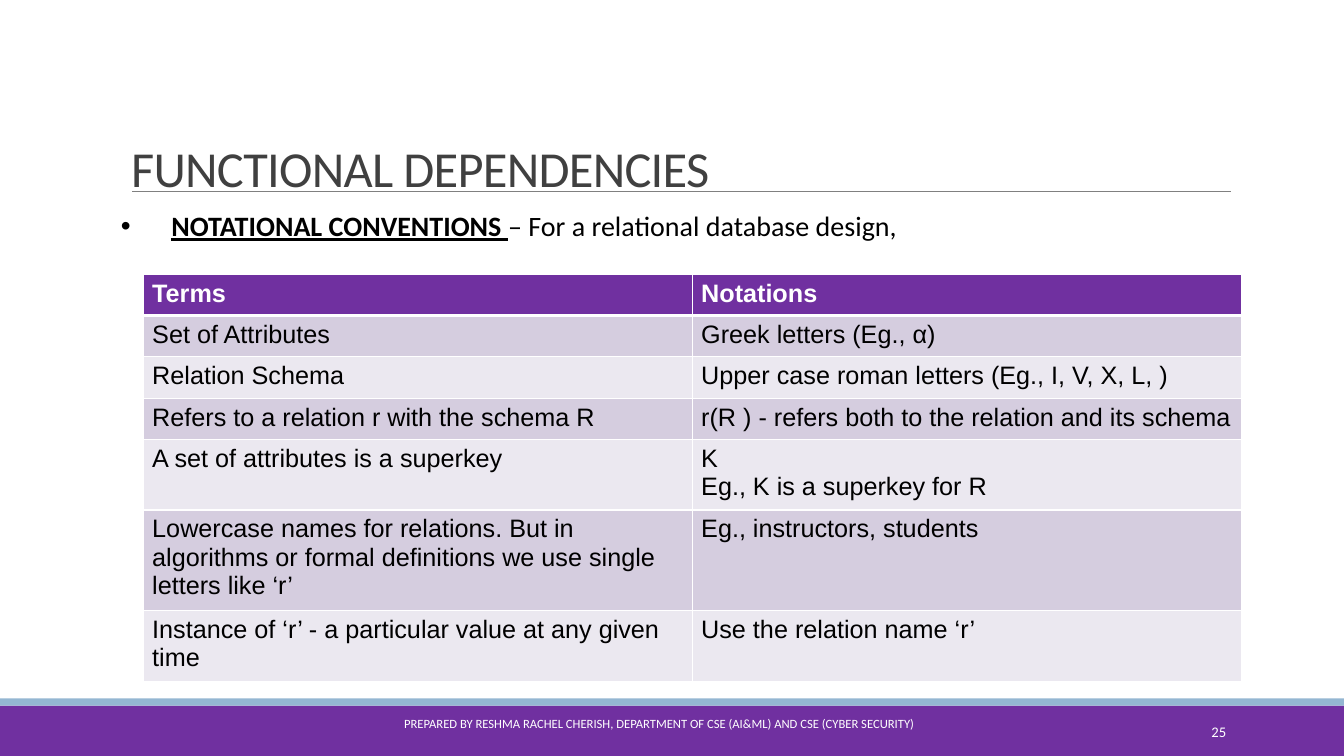
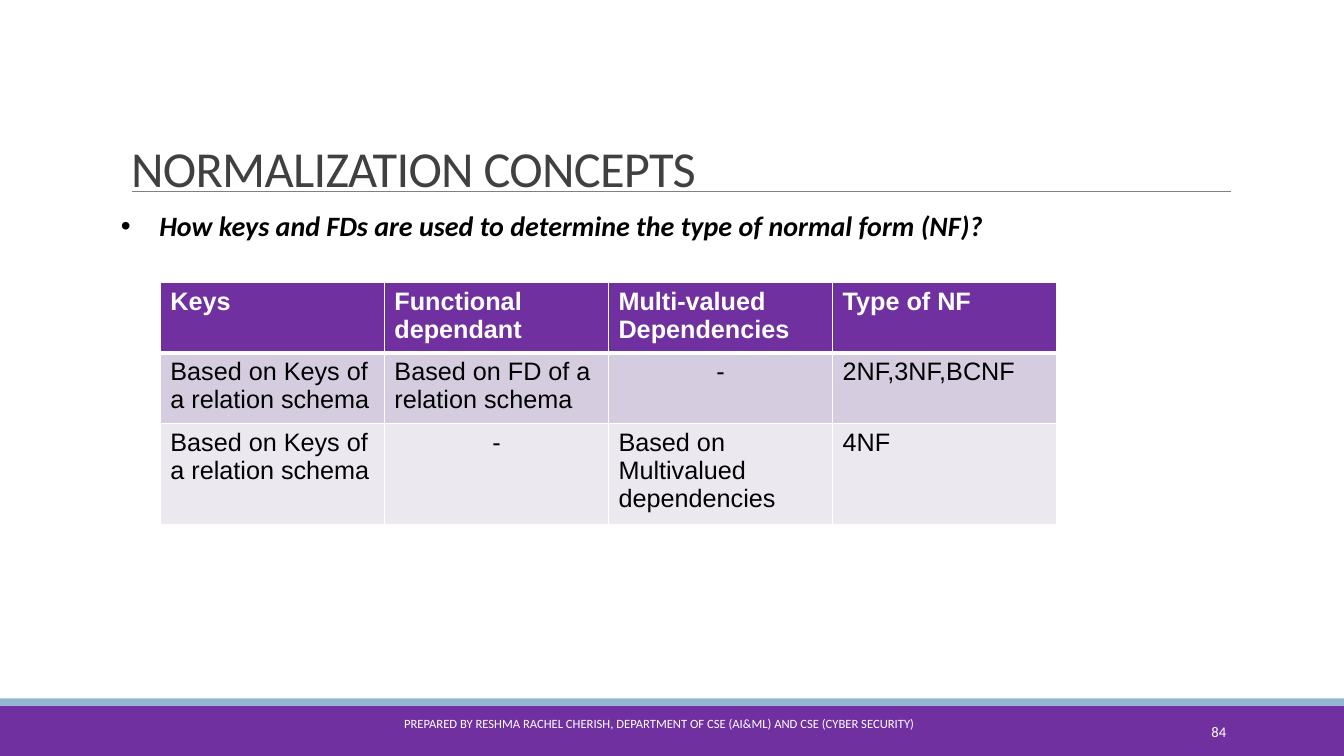
"""Build two database lecture slides with a shared title, band and table style."""
from lxml import etree
from pptx import Presentation
from pptx.dml.color import RGBColor
from pptx.enum.shapes import MSO_CONNECTOR, MSO_SHAPE
from pptx.enum.text import MSO_ANCHOR, MSO_AUTO_SIZE, PP_ALIGN
from pptx.oxml.ns import qn
from pptx.util import Inches, Pt

LEFT, CENTER, RIGHT = PP_ALIGN.LEFT, PP_ALIGN.CENTER, PP_ALIGN.RIGHT
MIDDLE, BOTTOM = MSO_ANCHOR.MIDDLE, MSO_ANCHOR.BOTTOM
NO_FIT = MSO_AUTO_SIZE.NONE
RECTANGLE, STRAIGHT = MSO_SHAPE.RECTANGLE, MSO_CONNECTOR.STRAIGHT

WIDTH, HEIGHT = 13.33, 7.5
PURPLE, BLUE, GRAY, TITLE_GRAY = "7030A0", "94B6D2", "808080", "404040"
WHITE, BLACK = "FFFFFF", "000000"
ROW_FILLS = ("EBE8F0", "D5CDDF")
TEXT_FONT, TABLE_FONT = "Calibri", "Arial"
BANDS = ((7, 0.5, PURPLE), (6.93, 0.07, BLUE))
ROW_HEIGHT = 0.41
FOOTER = ("PREPARED BY RESHMA RACHEL CHERISH, DEPARTMENT OF CSE (AI&ML) "
          "AND CSE (CYBER SECURITY)")

SLIDES = [
    {
        "title": "FUNCTIONAL DEPENDENCIES",
        "number": "25",
        "indent": 0.5,
        "lead": [("NOTATIONAL CONVENTIONS ", {"bold": True, "underline": True}),
                 ("– For a relational database design,", {})],
        "table": {"left": 1.42, "top": 2.72, "width": 10.89, "inset": 0.09},
        "rows": [
            ("Terms", "Notations"),
            ("Set of Attributes", "Greek letters (Eg., α)"),
            ("Relation Schema", "Upper case roman letters (Eg., I, V, X, L, )"),
            ("Refers to a relation r with the schema R",
             "r(R ) - refers both to the relation and its schema"),
            ("A set of attributes is a superkey", "K\nEg., K is a superkey for R"),
            ("Lowercase names for relations. But in algorithms or formal "
             "definitions we use single letters like ‘r’",
             "Eg., instructors, students"),
            ("Instance of ‘r’ - a particular value at any given time",
             "Use the relation name ‘r’"),
        ],
    },
    {
        "title": "NORMALIZATION CONCEPTS",
        "number": "84",
        "indent": 0.38,
        "lead": [("How keys and FDs are used to determine the type of normal form (NF)?",
                  {"bold": True, "italic": True})],
        "table": {"left": 1.59, "top": 2.8, "width": 8.89, "inset": 0.1},
        "rows": [
            ("Keys", "Functional dependant", "Multi-valued\nDependencies", "Type of NF"),
            ("Based on Keys of a relation schema", "Based on FD of a relation schema",
             "-", "2NF,3NF,BCNF"),
            ("Based on Keys of a relation schema", "-",
             "Based on Multivalued dependencies", "4NF"),
        ],
    },
]


def color(value):
    """Turn a hex string into a colour."""
    return RGBColor.from_string(value)


def style(paragraph, size, ink, name=TEXT_FONT, align=LEFT):
    """Set the font and alignment of a paragraph."""
    paragraph.alignment = align
    paragraph.font.size = Pt(size)
    paragraph.font.name = name
    paragraph.font.color.rgb = color(ink)


def place(shape, left, top, width, height):
    """Move and size a shape, in inches."""
    shape.left, shape.top = Inches(left), Inches(top)
    shape.width, shape.height = Inches(width), Inches(height)


def add_bands(page):
    """Draw the bottom bands and the rule under the title."""
    for top, height, fill in BANDS:
        band = page.shapes.add_shape(RECTANGLE, 0, Inches(top), Inches(WIDTH), Inches(height))
        band.shadow.inherit = False
        band.fill.solid()
        band.fill.fore_color.rgb = color(fill)
        band.line.fill.background()
    rule = page.shapes.add_connector(
        STRAIGHT, Inches(1.31), Inches(1.9), Inches(12.21), Inches(1.9))
    rule.line.color.rgb = color(GRAY)
    rule.line.width = Pt(0.5)
    etree.SubElement(rule._element.spPr, qn("a:effectLst"))


def add_label(page, text, area, size, align):
    """Write one white line in the bottom band."""
    box = page.shapes.add_textbox(*(Inches(length) for length in area))
    frame = box.text_frame
    frame.word_wrap = True
    frame.vertical_anchor = MIDDLE
    frame.text = text
    style(frame.paragraphs[0], size, WHITE, align=align)


def fill_title(title, text):
    """Write the title in its placeholder."""
    place(title, 1.2, 0.95, 11, 1.06)
    frame = title.text_frame
    frame.auto_size = NO_FIT
    frame.vertical_anchor = BOTTOM
    frame.text = text
    para = frame.paragraphs[0]
    para.line_spacing = 0.85
    style(para, 36, TITLE_GRAY)
    para.runs[0].font._element.set("spc", "-50")


def fill_lead(body, spans, indent):
    """Write the bulleted lead sentence in the body placeholder."""
    place(body, 1.2, 2.02, 11, 4.4)
    frame = body.text_frame
    frame.auto_size = NO_FIT
    frame.margin_left = frame.margin_right = 0
    para = frame.paragraphs[0]
    para.space_before = Pt(0)
    properties = para._p.get_or_add_pPr()
    properties.set("marL", str(Inches(indent)))
    properties.set("indent", str(-Inches(indent)))
    etree.SubElement(properties, qn("a:buFont"), typeface=TABLE_FONT)
    etree.SubElement(properties, qn("a:buChar"), char="•")
    style(para, 20, BLACK)
    for text, marks in spans:
        span = para.add_run()
        span.text = text
        for mark, value in marks.items():
            setattr(span.font, mark, value)


def add_borders(cell, row_index):
    """Give a cell white borders, thick between header and body."""
    properties = cell._tc.get_or_add_tcPr()
    thick_side = {0: "lnB", 1: "lnT"}.get(row_index)
    for side in ("lnL", "lnR", "lnT", "lnB"):
        width = Pt(3 if side == thick_side else 1)
        line = etree.SubElement(properties, qn(f"a:{side}"), w=str(width))
        fill = etree.SubElement(line, qn("a:solidFill"))
        etree.SubElement(fill, qn("a:srgbClr"), val=WHITE)


def add_grid(page, rows, left, top, width, inset):
    """Add the table with a header row and alternating body rows."""
    columns = len(rows[0])
    table = page.shapes.add_table(
        len(rows), columns, Inches(left), Inches(top),
        Inches(width), Inches(ROW_HEIGHT * len(rows))).table
    for row_index, texts in enumerate(rows):
        header = row_index == 0
        for column_index, text in enumerate(texts):
            cell = table.cell(row_index, column_index)
            add_borders(cell, row_index)
            cell.fill.solid()
            cell.fill.fore_color.rgb = color(PURPLE if header else ROW_FILLS[row_index % 2])
            cell.margin_left = cell.margin_right = Inches(inset)
            cell.text = text
            for para in cell.text_frame.paragraphs:
                style(para, 18, WHITE if header else BLACK, TABLE_FONT,
                      CENTER if text == "-" else LEFT)
                para.font.bold = header


def main():
    """Build and save the deck."""
    deck = Presentation()
    deck.slide_width, deck.slide_height = Inches(WIDTH), Inches(HEIGHT)
    for content in SLIDES:
        page = deck.slides.add_slide(deck.slide_layouts[1])
        add_bands(page)
        fill_title(page.shapes.title, content["title"])
        fill_lead(page.placeholders[1], content["lead"], content["indent"])
        add_label(page, content["number"], (10.83, 7.06, 1.43, 0.4), 10.5, RIGHT)
        add_label(page, FOOTER, (3.9, 6.98, 5.27, 0.4), 9, CENTER)
        add_grid(page, content["rows"], **content["table"])
    deck.save("out.pptx")


if __name__ == "__main__":
    main()
